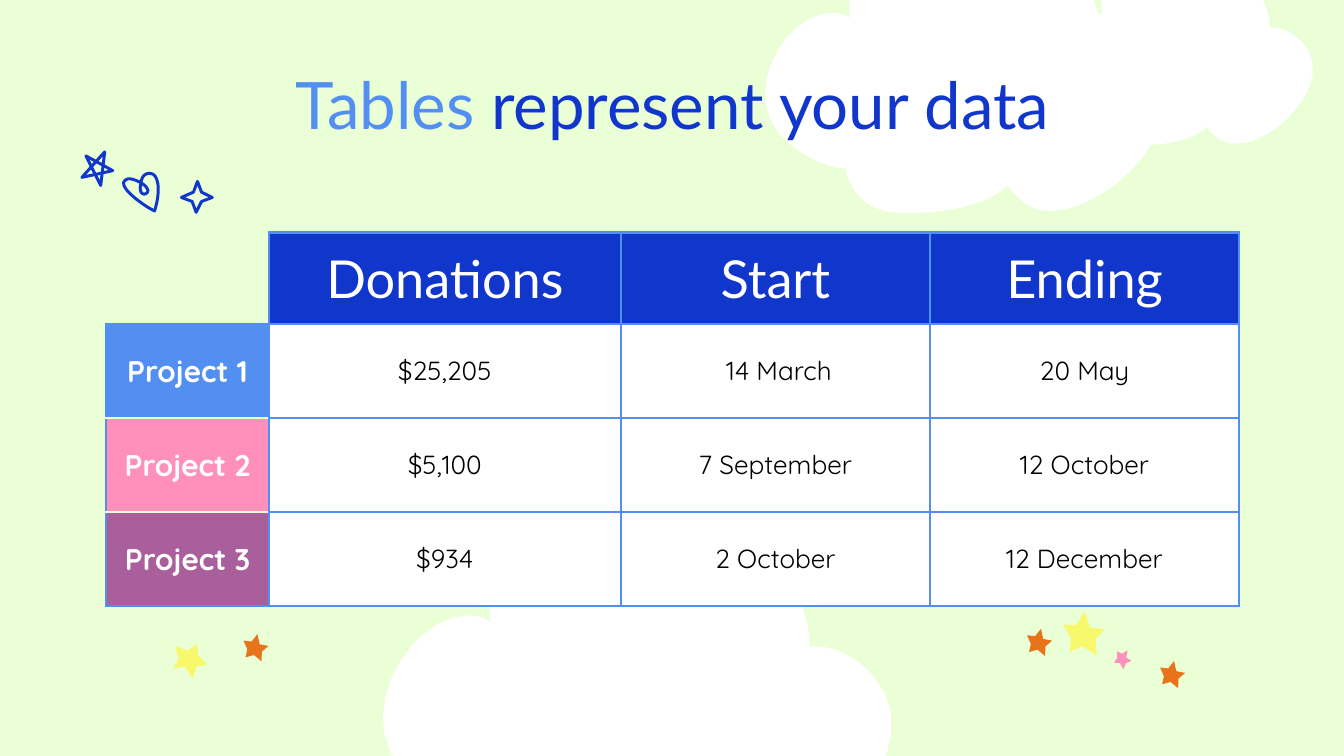
from pptx import Presentation
from pptx.dml.color import RGBColor as RGB
from pptx.enum.text import MSO_ANCHOR as Anchor, MSO_AUTO_SIZE as Auto, PP_ALIGN as Align
from pptx.oxml import parse_xml
from pptx.oxml.ns import nsdecls
from pptx.util import Inches, Pt

MINT = RGB(0xEA, 0xFF, 0xD6)
WHITE = RGB(0xFF, 0xFF, 0xFF)
BLACK = RGB(0, 0, 0)
NAVY = RGB(0x11, 0x36, 0xCC)
SKY = RGB(0x52, 0x8F, 0xF1)
PINK = RGB(0xFF, 0x8F, 0xBB)
PLUM = RGB(0xA9, 0x5F, 0x9C)
LEMON = RGB(0xF8, 0xF8, 0x6D)
ORANGE = RGB(0xE7, 0x74, 0x1A)

TITLE = [("Tables ", SKY), ("represent your data", NAVY)]
ROWS = [
    ("", "Donations", "Start", "Ending"),
    ("Project 1", "$25,205", " 14 March", "20 May"),
    ("Project 2", "$5,100", "7 September", "12 October"),
    ("Project 3", "$934", "2 October", "12 December"),
]
LABELS = [None, SKY, PINK, PLUM]
WIDTHS = [1.21, 2.62, 2.3, 2.3]
HEIGHTS = [0.68, 0.7, 0.7, 0.7]
LEFT, TOP = 0.79, 1.73

CLOUD_W = 4.45
CLOUD = [
    (2.71, 0),
    (2.51, 0, 2.32, 0.12, 2.2, 0.27),
    (2.11, 0.2, 2, 0.14, 1.86, 0.09),
    (1.74, 0.05, 1.64, 0.03, 1.56, 0.03),
    (1.04, 0.03, 1.12, 0.69, 1.12, 0.69),
    (1.07, 0.65, 1.01, 0.64, 0.95, 0.64),
    (0.51, 0.64, 0, 1.47, 0.58, 1.9),
    (0.76, 2.04, 0.93, 2.1, 1.08, 2.11),
    (1.12, 2.33, 1.28, 2.53, 1.62, 2.53),
    (1.66, 2.53),
    (2.12, 2.53, 2.43, 2.43, 2.61, 2.27),
    (2.64, 2.32, 2.69, 2.37, 2.75, 2.42),
    (2.82, 2.48, 2.92, 2.51, 3.02, 2.51),
    (3.6, 2.51, 4.45, 1.61, 3.96, 1.08),
    (3.82, 0.93, 3.67, 0.87, 3.53, 0.87),
    (3.49, 0.87),
    (3.5, 0.62, 3.37, 0.32, 3.05, 0.11),
    (2.93, 0.04, 2.82, 0, 2.71, 0),
]
CLOUDS = [(7.61, -0.25, 2.34), (5.44, -0.41, 3.51), (2.53, 3.94, 4.45)]

STAR = [(0.76, 0), (0.44, 0.18), (0.16, 0.04), (0.18, 0.39), (0, 0.65),
        (0.34, 0.68), (0.53, 1), (0.68, 0.67), (1, 0.56), (0.7, 0.38)]
STARS = [
    [(7.92, 4.57, 0.31, 0.33, 332.3, LEMON),
     (7.64, 4.69, 0.19, 0.2, 339.2, ORANGE),
     (8.63, 4.93, 0.19, 0.2, 339.2, ORANGE),
     (8.29, 4.84, 0.13, 0.14, 0, PINK)],
    [(1.27, 4.77, 0.25, 0.27, 139.5, LEMON),
     (1.81, 4.73, 0.19, 0.2, 339.2, ORANGE)],
]

HEART = [
    (1.15, 1.57),
    (1.16, 1.54, 1.2, 1.4, 1.16, 1.32),
    (1.15, 1.3, 1.13, 1.29, 1.11, 1.29),
    (1.07, 1.29, 1.05, 1.33, 1.05, 1.36),
    (1.08, 1.38, 1.1, 1.4, 1.1, 1.42),
    (1.1, 1.44, 1.07, 1.45, 1.06, 1.44),
    (1.04, 1.43, 1.04, 1.39, 1.05, 1.36),
    (1.01, 1.34, 0.98, 1.33, 0.96, 1.33),
    (0.94, 1.33, 0.92, 1.35, 0.92, 1.36),
    (0.91, 1.41, 1.05, 1.52, 1.15, 1.57),
]
KNOT = [(0.64, 1.16), (0.84, 1.27), (0.61, 1.32), (0.78, 1.13), (0.75, 1.38)]
SPARK = [(1.47, 1.35), (1.5, 1.43), (1.58, 1.47), (1.5, 1.5),
         (1.46, 1.58), (1.43, 1.5), (1.35, 1.47), (1.44, 1.43)]
UNITS = 1000


def trace(parts, steps=12):
    dots = []
    for part in parts:
        if len(part) == 2:
            dots.append(part)
            continue
        ends = [dots[-1], part[:2], part[2:4], part[4:]]
        for i in range(1, steps + 1):
            t = i / steps
            mix = ((1 - t) ** 3, 3 * t * (1 - t) ** 2, 3 * t * t * (1 - t), t ** 3)
            dots.append(tuple(sum(m * e[k] for m, e in zip(mix, ends)) for k in (0, 1)))
    return dots


def draw(dots, fill=None, line=None, turn=0):
    dots = [(round(x * UNITS), round(y * UNITS)) for x, y in dots]
    pen = shapes.build_freeform(*dots[0], scale=Inches(1) / UNITS)
    pen.add_line_segments(dots[1:], close=True)
    shape = pen.convert_to_shape()
    shape.shadow.inherit = False
    shape.rotation = turn
    if fill is None:
        shape.fill.background()
    else:
        shape.fill.solid()
        shape.fill.fore_color.rgb = fill
    if line is None:
        shape.line.fill.background()
    else:
        shape.line.color.rgb = line
        shape.line.width = Pt(1.6)
    return shape


def write(para, text, font, size, color, bold=False):
    para.alignment = Align.CENTER
    run = para.add_run()
    run.text = text
    run.font.name = font
    run.font.size = Pt(size)
    run.font.bold = bold
    run.font.color.rgb = color


def edge(cell, sides):
    props = cell._tc.get_or_add_tcPr()
    for i, side in enumerate("LRTB"):
        color = sides.get(side)
        fill = f'<a:solidFill><a:srgbClr val="{color}"/></a:solidFill>' if color else "<a:noFill/>"
        props.insert(i, parse_xml(f'<a:ln{side} {nsdecls("a")} w="19050">{fill}</a:ln{side}>'))


def style(r, c):
    if r == 0:
        return NAVY, ("Lato", 28, WHITE)
    if c == 0:
        return LABELS[r], ("Quicksand", 16, WHITE, True)
    return WHITE, ("Quicksand", 14, BLACK)


def borders(r, c):
    if (r, c) == (0, 0):
        return {"R": SKY, "B": SKY}
    sides = dict.fromkeys("LRTB", SKY)
    if c == 0:
        if r > 1:
            sides["T"] = MINT
        if r < len(ROWS) - 1:
            sides["B"] = MINT
    return sides


prs = Presentation()
prs.slide_width = Inches(10)
prs.slide_height = prs.slide_width * 9 // 16
slide = prs.slides.add_slide(prs.slide_layouts[5])
shapes = slide.shapes
slide.background.fill.solid()
slide.background.fill.fore_color.rgb = MINT

for x, y, w in CLOUDS:
    k = w / CLOUD_W
    draw([(x + k * u, y + k * v) for u, v in trace(CLOUD)], WHITE)

frame = shapes.add_table(len(ROWS), len(WIDTHS), Inches(LEFT), Inches(TOP),
                         Inches(sum(WIDTHS)), Inches(sum(HEIGHTS)))
table = frame.table
table.first_row = table.horz_banding = False
for col, w in zip(table.columns, WIDTHS):
    col.width = Inches(w)
for row, h in zip(table.rows, HEIGHTS):
    row.height = Inches(h)
for r, row in enumerate(ROWS):
    for c, text in enumerate(row):
        cell = table.cell(r, c)
        cell.vertical_anchor = Anchor.MIDDLE
        cell.margin_left = cell.margin_right = Inches(0.1)
        cell.margin_top = cell.margin_bottom = Inches(0.07)
        if text:
            fill, font = style(r, c)
            cell.fill.solid()
            cell.fill.fore_color.rgb = fill
            write(cell.text_frame.paragraphs[0], text, *font)
        else:
            cell.fill.background()
        edge(cell, borders(r, c))

for group in STARS:
    shapes.add_group_shape([
        draw([(x + w * u, y + h * v) for u, v in STAR], color, turn=turn)
        for x, y, w, h, turn, color in group])
shapes.add_group_shape([draw(trace(d), line=NAVY) for d in (HEART, KNOT, SPARK)])

title = shapes.title
title.left, title.top = Inches(LEFT), Inches(0.38)
title.width, title.height = Inches(sum(WIDTHS)), Inches(0.7)
box = title.text_frame
box.auto_size = Auto.NONE
box.word_wrap = True
box.vertical_anchor = Anchor.TOP
box.margin_left = box.margin_right = box.margin_top = box.margin_bottom = Inches(0.1)
for text, color in TITLE:
    write(box.paragraphs[0], text, "Lato", 35, color)
title.element.getparent().append(title.element)

prs.save("out.pptx")
